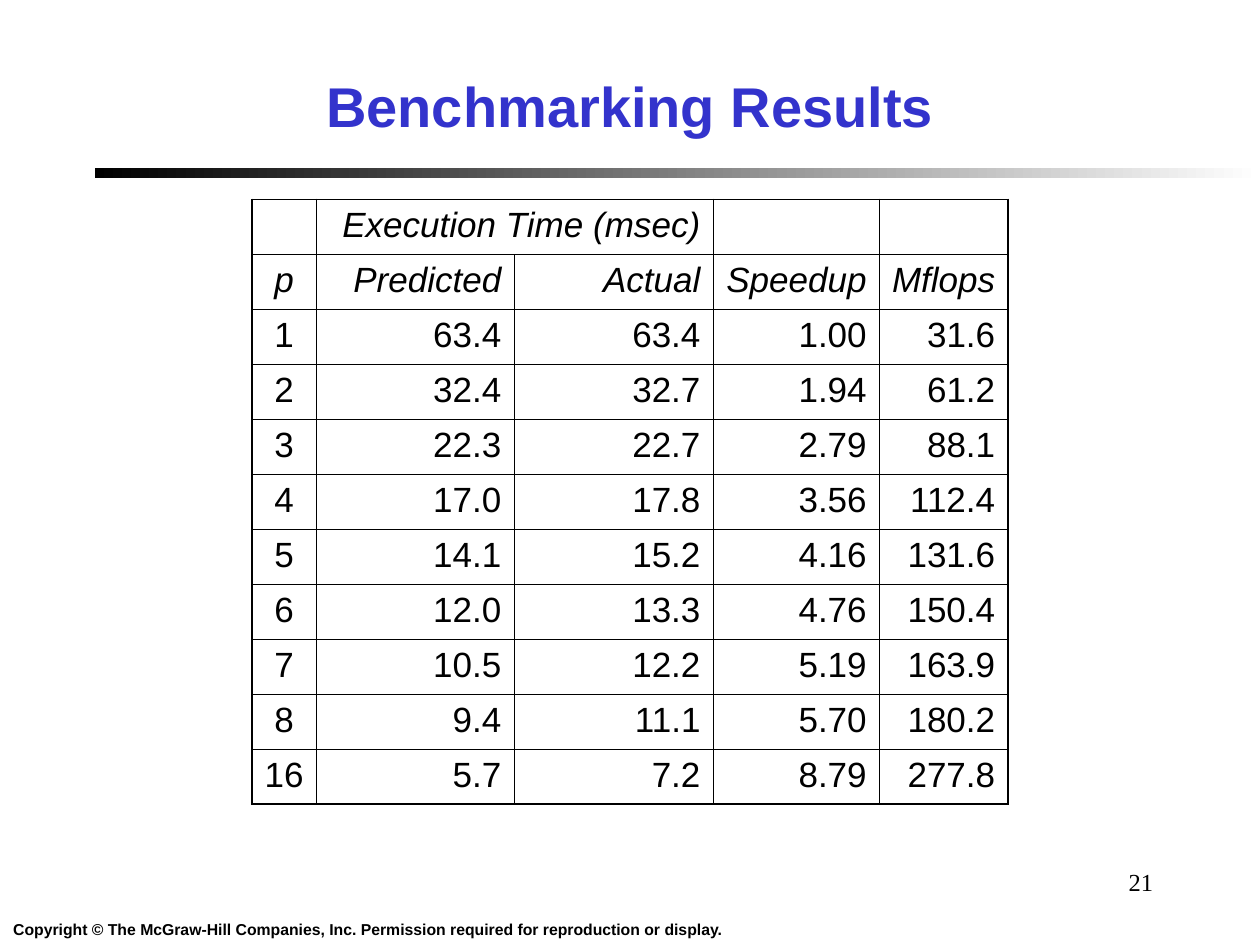
from dataclasses import dataclass

from lxml import etree
from pptx import Presentation
from pptx.dml.color import RGBColor
from pptx.enum.shapes import MSO_SHAPE
from pptx.enum.text import MSO_ANCHOR, PP_ALIGN
from pptx.oxml.ns import qn
from pptx.util import Inches, Pt

RECTANGLE = MSO_SHAPE.RECTANGLE
TOP, MIDDLE = MSO_ANCHOR.TOP, MSO_ANCHOR.MIDDLE
CENTER, RIGHT = PP_ALIGN.CENTER, PP_ALIGN.RIGHT


@dataclass(frozen=True)
class Theme:
    ink: str = "000000"
    paper: str = "FFFFFF"
    title: str = "3333CC"
    sans: str = "Arial"
    serif: str = "Times New Roman"
    title_size: float = 32
    table_size: float = 20
    number_size: float = 14
    copyright_size: float = 9
    frame_width: float = 1.08
    rule_width: float = 0.45


THEME = Theme()

# The page is a grid of 120 columns by 90 rows, twelve to the inch.
COLUMNS, ROWS = 120, 90
UNIT = Inches(1) // 12

HEADINGS = [
    ["", "Execution Time (msec)", "", "", ""],
    ["p", "Predicted", "Actual", "Speedup", "Mflops"],
]
RESULTS = [
    ["1", "63.4", "63.4", "1.00", "31.6"],
    ["2", "32.4", "32.7", "1.94", "61.2"],
    ["3", "22.3", "22.7", "2.79", "88.1"],
    ["4", "17.0", "17.8", "3.56", "112.4"],
    ["5", "14.1", "15.2", "4.16", "131.6"],
    ["6", "12.0", "13.3", "4.76", "150.4"],
    ["7", "10.5", "12.2", "5.19", "163.9"],
    ["8", "9.4", "11.1", "5.70", "180.2"],
    ["16", "5.7", "7.2", "8.79", "277.8"],
]
COLUMN_WIDTHS = [0.51, 1.57, 1.58, 1.32, 1.02]


def place(box):
    """Turn grid units into lengths."""
    return [round(units * UNIT) for units in box]


def write(frame, text, *, size, font=THEME.sans, color=THEME.ink,
          align=RIGHT, bold=False, italic=False):
    para = frame.paragraphs[0]
    para.alignment = align
    span = para.add_run()
    span.text = text
    span.font.name = font
    span.font.size = Pt(size)
    span.font.bold = bold
    span.font.italic = italic
    span.font.color.rgb = RGBColor.from_string(color)


def add_text(page, box, text, *, anchor=TOP, wrap=True, **style):
    frame = page.shapes.add_textbox(*place(box)).text_frame
    frame.word_wrap = wrap
    frame.vertical_anchor = anchor
    write(frame, text, **style)


def add_title_rule(page, box):
    rule = page.shapes.add_shape(RECTANGLE, *place(box))
    rule.shadow.inherit = False
    rule.line.fill.background()
    rule.fill.gradient()
    rule.fill.gradient_angle = 0
    for stop, color in zip(rule.fill.gradient_stops, (THEME.ink, THEME.paper)):
        stop.color.rgb = RGBColor.from_string(color)


def set_border(cell, side, width):
    properties = cell._tc.get_or_add_tcPr()
    line = etree.SubElement(properties, qn(f"a:ln{side}"), w=str(Pt(width)))
    fill = etree.SubElement(line, qn("a:solidFill"))
    etree.SubElement(fill, qn("a:srgbClr"), val=THEME.ink)


def add_results_table(page, box):
    rows = HEADINGS + RESULTS
    last_row, last_column = len(rows) - 1, len(COLUMN_WIDTHS) - 1
    left, top, width, height = place(box)
    table = page.shapes.add_table(
        len(rows), len(COLUMN_WIDTHS), left, top, width, height).table
    table.first_row = table.horz_banding = False
    for column, column_width in zip(table.columns, COLUMN_WIDTHS):
        column.width = Inches(column_width)
    for row in table.rows:
        row.height = height // len(rows)

    for r, values in enumerate(rows):
        for c, text in enumerate(values):
            cell = table.cell(r, c)
            # Heavy lines frame the table, fine ones divide it
            outer = {"L": c == 0, "R": c == last_column,
                     "T": r == 0, "B": r == last_row}
            for side, is_outer in outer.items():
                set_border(cell, side,
                           THEME.frame_width if is_outer else THEME.rule_width)
            cell.fill.background()
            if text:
                write(cell.text_frame, text, size=THEME.table_size,
                      align=CENTER if c == 0 else RIGHT,
                      italic=r < len(HEADINGS))

    # The time heading covers both time columns
    table.cell(0, 1).merge(table.cell(0, 2))


def add_footer(page, box):
    left, top, width, height = box
    add_text(page, (left, top + height - 3, 70, 3),
             "Copyright © The McGraw-Hill Companies, Inc. "
             "Permission required for reproduction or display.",
             wrap=False, size=THEME.copyright_size, align=CENTER, bold=True)
    add_text(page, (left + width - 34, top, 25, 6), "21",
             size=THEME.number_size, font=THEME.serif)


def main():
    deck = Presentation()
    deck.slide_width, deck.slide_height = COLUMNS * UNIT, ROWS * UNIT
    page = deck.slides.add_slide(deck.slide_layouts[6])

    add_title_rule(page, (9, 16, 111, 1))
    add_footer(page, (0, 82, COLUMNS, 8))
    add_text(page, (3, 4, 114, 12), "Benchmarking Results", anchor=MIDDLE,
             size=THEME.title_size, color=THEME.title, align=CENTER, bold=True)
    add_results_table(page, (24, 19, 72, 57.6))

    deck.save("out.pptx")


if __name__ == "__main__":
    main()
